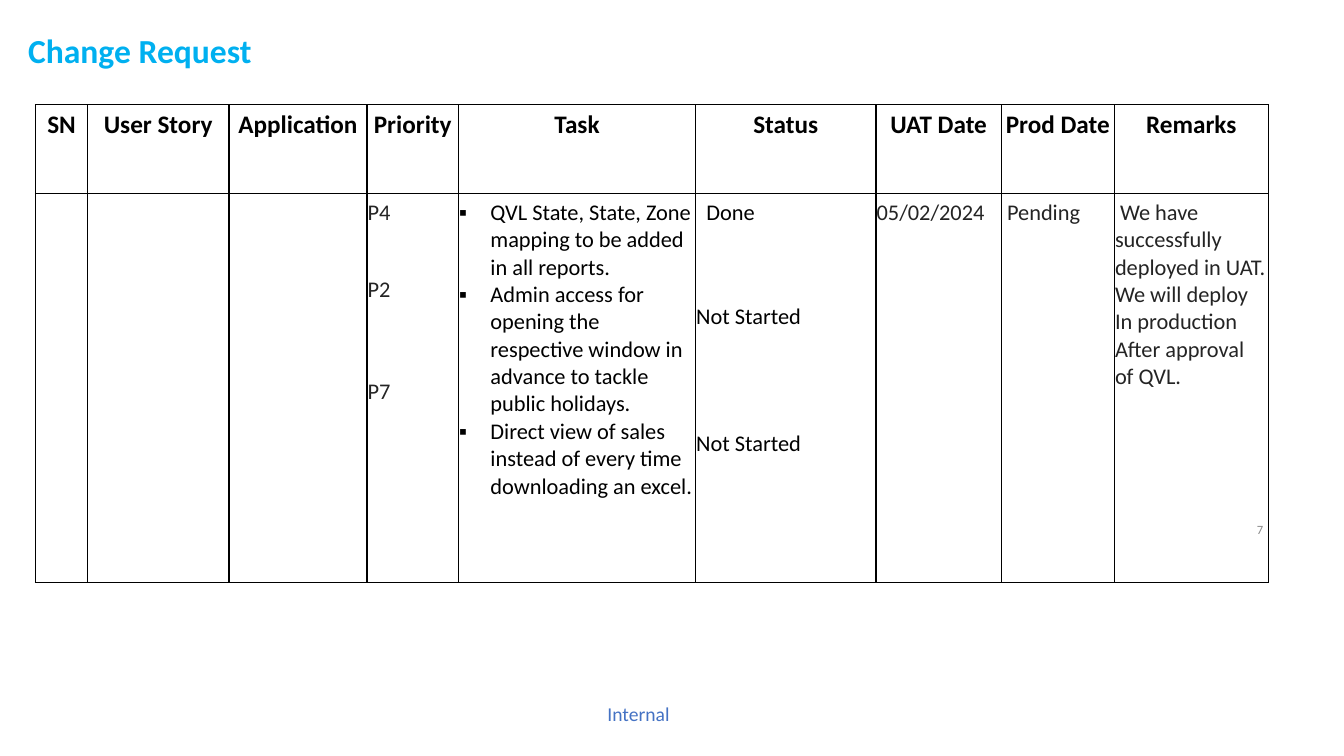
from dataclasses import dataclass

from lxml.etree import SubElement
from pptx import Presentation
from pptx.dml.color import RGBColor
from pptx.enum.shapes import MSO_SHAPE
from pptx.enum.text import MSO_ANCHOR, PP_ALIGN
from pptx.oxml import parse_xml
from pptx.oxml.ns import nsdecls, qn
from pptx.util import Pt


@dataclass(frozen=True)
class Theme:
    font: str = "Calibri"
    title: str = "00B0F0"
    accent: str = "4472C4"
    muted: str = "888888"
    ink: str = "000000"
    body: str = "242424"
    paper: str = "FFFFFF"
    title_size: int = 24
    head_size: int = 18
    body_size: int = 16
    label_size: int = 14
    number_size: int = 9
    border: float = 0.96


HEADERS = ["SN", "User Story", "Application", "Priority", "Task", "Status",
           "UAT Date", "Prod Date", "Remarks"]
COL_WIDTHS = [37.1, 101.1, 98.6, 65.4, 169.3, 128.9, 89.6, 80.7, 110]
ROW_HEIGHTS = [63.6, 277.9]
BLANK_COLUMNS = 3
TASKS = [
    "QVL State, State, Zone mapping to be added in all reports.",
    "Admin access for opening the respective window in advance to tackle public holidays.",
    "Direct view of sales instead of every time downloading an excel.",
]
REMARK = ("We have successfully deployed in UAT. We will deploy "
          "In production After approval of QVL.")


class SlideBuilder:
    def __init__(self, slide, theme):
        self.slide = slide
        self.theme = theme

    def paragraph(self, p, text, size, color, bold=False, before=0, indent=0,
                  bullet=None, align=PP_ALIGN.LEFT):
        """Fill p; indent is the first-line offset, or the hanging depth with a bullet."""
        formats = {"alignment": align, "space_before": Pt(before)}
        for name, value in formats.items():
            setattr(p, name, value)
        r = p.add_run()
        r.text = text
        font = {"name": self.theme.font, "size": Pt(size), "bold": bold}
        for name, value in font.items():
            setattr(r.font, name, value)
        r.font.color.rgb = RGBColor.from_string(color)
        ppr = p._p.get_or_add_pPr()
        if bullet:
            ppr.set("marL", str(Pt(indent)))
            ppr.set("indent", str(-Pt(indent)))
            clr = SubElement(ppr, qn("a:buClr"))
            SubElement(clr, qn("a:srgbClr"), val=self.theme.ink)
            SubElement(ppr, qn("a:buFont"), typeface=self.theme.font)
            SubElement(ppr, qn("a:buChar"), char=bullet)
        elif indent:
            ppr.set("indent", str(Pt(indent)))

    def text(self, box, text, size, color, fill=None, anchor=MSO_ANCHOR.TOP, **style):
        lengths = [Pt(v) for v in box]
        if fill:
            sp = self.slide.shapes.add_shape(MSO_SHAPE.RECTANGLE, *lengths)
            sp.shadow.inherit = False
            sp.fill.solid()
            sp.fill.fore_color.rgb = RGBColor.from_string(fill)
            sp.line.fill.background()
        else:
            sp = self.slide.shapes.add_textbox(*lengths)
        tf = sp.text_frame
        tf.word_wrap = True
        tf.vertical_anchor = anchor
        self.paragraph(tf.paragraphs[0], text, size, color, **style)

    def table(self, left, top, widths, heights):
        frame = self.slide.shapes.add_table(
            len(heights), len(widths), Pt(left), Pt(top),
            Pt(sum(widths)), Pt(sum(heights)))
        table = frame.table
        table.first_row = table.horz_banding = False
        for column, width in zip(table.columns, widths):
            column.width = Pt(width)
        for row, height in zip(table.rows, heights):
            row.height = Pt(height)
        return table

    def cell(self, cell, paragraphs, fill=None, **style):
        """Write a bordered cell from (text, extra style) pairs."""
        margins = {"margin_left": 0.5, "margin_right": 0.5,
                   "margin_top": 3.6, "margin_bottom": 3.6}
        for name, value in margins.items():
            setattr(cell, name, Pt(value))
        if fill:
            cell.fill.solid()
            cell.fill.fore_color.rgb = RGBColor.from_string(fill)
        else:
            cell.fill.background()
        self.borders(cell)
        tf = cell.text_frame
        for i, (text, extra) in enumerate(paragraphs):
            p = tf.add_paragraph() if i else tf.paragraphs[0]
            self.paragraph(p, text, **style, **extra)

    def borders(self, cell):
        tcpr = cell._tc.get_or_add_tcPr()
        for i, side in enumerate(("lnL", "lnR", "lnT", "lnB")):
            tcpr.insert(i, parse_xml(
                f'<a:{side} {nsdecls("a")} w="{Pt(self.theme.border)}">'
                f'<a:solidFill><a:srgbClr val="{self.theme.ink}"/></a:solidFill>'
                f'</a:{side}>'))


def main():
    prs = Presentation()
    prs.slide_width, prs.slide_height = Pt(960), Pt(540)
    theme = Theme()
    s = SlideBuilder(prs.slides.add_slide(prs.slide_layouts[6]), theme)

    s.text((866.2, 369.5, 43.2, 17.3), "7", theme.number_size, theme.muted,
           anchor=MSO_ANCHOR.MIDDLE, align=PP_ALIGN.RIGHT)

    table = s.table(25.4, 74.9, COL_WIDTHS, ROW_HEIGHTS)
    for i, header in enumerate(HEADERS):
        s.cell(table.cell(0, i), [(header, {})], size=theme.head_size,
               color=theme.ink, bold=True, align=PP_ALIGN.CENTER)
    for i in range(BLANK_COLUMNS):
        s.cell(table.cell(1, i), [], fill=theme.paper)

    bullet = {"bullet": "▪", "indent": 22.3}
    entries = [
        ([("P4", {}), ("P2", {"before": 35.5}), ("P7", {"before": 53.4})],
         theme.body, theme.paper),
        ([(task, bullet) for task in TASKS], theme.ink, None),
        ([("Done", {"indent": 7.2}), ("Not Started", {"before": 55.1}),
          ("Not Started", {"before": 71.2})], theme.ink, None),
        ([("05/02/2024", {})], theme.body, None),
        ([("Pending", {"indent": 3.6})], theme.body, None),
        ([(REMARK, {"indent": 3.6})], theme.body, None),
    ]
    for i, (paragraphs, color, fill) in enumerate(entries, BLANK_COLUMNS):
        s.cell(table.cell(1, i), paragraphs, fill=fill,
               size=theme.body_size, color=color)

    s.text((13, 18, 789, 36), "Change Request", theme.title_size, theme.title,
           fill=theme.paper, anchor=MSO_ANCHOR.MIDDLE, bold=True)
    s.text((424.8, 497.5, 62.6, 40.3), "Internal", theme.label_size, theme.accent,
           align=PP_ALIGN.CENTER)
    prs.save("out.pptx")


if __name__ == "__main__":
    main()
